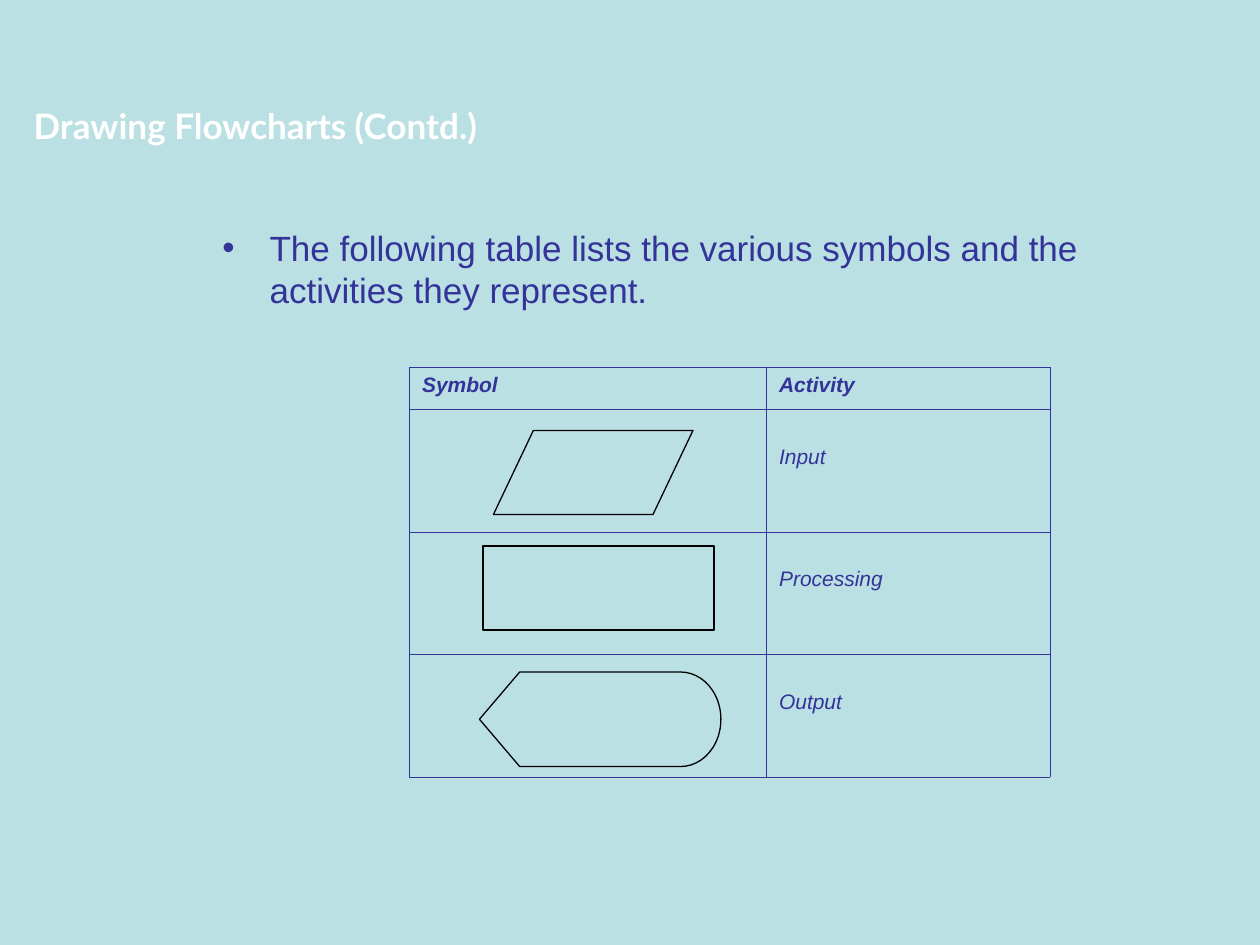
"""Build the flowchart symbols slide."""
from dataclasses import dataclass

from lxml.etree import SubElement
from pptx import Presentation
from pptx.dml.color import RGBColor as Color
from pptx.enum.shapes import MSO_SHAPE as Shape
from pptx.enum.text import MSO_ANCHOR as Anchor, MSO_AUTO_SIZE as AutoSize, PP_ALIGN as Align
from pptx.oxml.ns import qn
from pptx.util import Pt

TITLE = "Drawing Flowcharts (Contd.)"
BODY = "The following table lists the various symbols and the activities they represent."
HEADERS = ("Symbol", "Activity")
SYMBOLS = (
    ("Input", Shape.FLOWCHART_DATA, (282, 246, 114, 48)),
    ("Processing", Shape.FLOWCHART_PROCESS, (276, 312, 132, 48)),
    ("Output", Shape.FLOWCHART_DISPLAY, (274, 384, 138, 54)),
)
TITLE_BOX = (12, 56, 540, 32)
BODY_BOX = (120, 126, 576, 360)
TABLE_ORIGIN = (234, 210)
COLUMNS = (204, 162)
ROWS = (24, 70, 70, 70)
BULLET_INDENT = 27
ACTIVITY_TOP = 20.4


@dataclass(frozen=True)
class Theme:
    background: str = "BBE0E3"
    ink: str = "333399"
    title: str = "FFFFFF"
    outline: str = "000000"
    title_font: str = "Lato"
    body_font: str = "Arial"
    large: float = 20
    small: float = 12
    outline_width: float = 0.75
    border_width: float = 0.45


THEME = Theme()
TITLE_FORMAT = {"name": THEME.title_font, "size": Pt(THEME.large), "bold": True}
BODY_FORMAT = {"name": THEME.body_font, "size": Pt(THEME.large)}
CELL_FORMAT = {"name": THEME.body_font, "size": Pt(THEME.small), "italic": True}


def points(values):
    return [Pt(value) for value in values]


def set_attributes(target, values):
    for name, value in values.items():
        setattr(target, name, value)


def write(paragraph, text, values, color):
    paragraph.text = text
    paragraph.alignment = Align.LEFT
    set_attributes(paragraph.font, values)
    paragraph.font.color.rgb = Color.from_string(color)


def add_title(slide):
    title = slide.shapes.title
    box = dict(zip(("left", "top", "width", "height"), points(TITLE_BOX)))
    set_attributes(title, box)
    frame = title.text_frame
    set_attributes(frame, {"vertical_anchor": Anchor.TOP, "word_wrap": True,
                           "auto_size": AutoSize.SHAPE_TO_FIT_TEXT})
    write(frame.paragraphs[0], TITLE, TITLE_FORMAT, THEME.title)


def add_body(slide):
    frame = slide.shapes.add_textbox(*points(BODY_BOX)).text_frame
    frame.word_wrap = True
    paragraph = frame.paragraphs[0]
    properties = paragraph._p.get_or_add_pPr()
    properties.set("marL", str(Pt(BULLET_INDENT)))
    properties.set("indent", str(-Pt(BULLET_INDENT)))
    bullet_color = SubElement(properties, qn("a:buClr"))
    SubElement(bullet_color, qn("a:srgbClr"), val=THEME.ink)
    SubElement(properties, qn("a:buFont"), typeface=THEME.body_font)
    SubElement(properties, qn("a:buChar"), char="•")
    write(paragraph, BODY, BODY_FORMAT, THEME.ink)


def format_cell(cell):
    properties = cell._tc.get_or_add_tcPr()
    for side in ("lnL", "lnR", "lnT", "lnB"):
        line = SubElement(properties, qn(f"a:{side}"), w=str(Pt(THEME.border_width)))
        fill = SubElement(line, qn("a:solidFill"))
        SubElement(fill, qn("a:srgbClr"), val=THEME.ink)
    cell.fill.background()


def add_table(slide):
    size = (sum(COLUMNS), sum(ROWS))
    table = slide.shapes.add_table(len(ROWS), len(COLUMNS), *points(TABLE_ORIGIN + size)).table
    set_attributes(table, {"first_row": False, "horz_banding": False})
    for column, width in zip(table.columns, COLUMNS):
        column.width = Pt(width)
    for row, height in zip(table.rows, ROWS):
        row.height = Pt(height)
    for cell in table.iter_cells():
        format_cell(cell)
    for column, header in enumerate(HEADERS):
        paragraph = table.cell(0, column).text_frame.paragraphs[0]
        write(paragraph, header, {**CELL_FORMAT, "bold": True}, THEME.ink)
    for row, (activity, _, _) in enumerate(SYMBOLS, start=1):
        cell = table.cell(row, 1)
        cell.margin_top = Pt(ACTIVITY_TOP)
        write(cell.text_frame.paragraphs[0], activity, CELL_FORMAT, THEME.ink)


def add_symbols(slide):
    for _, kind, box in SYMBOLS:
        shape = slide.shapes.add_shape(kind, *points(box))
        shape.shadow.inherit = False
        shape.fill.background()
        shape.line.color.rgb = Color.from_string(THEME.outline)
        shape.line.width = Pt(THEME.outline_width)


def main():
    presentation = Presentation()
    set_attributes(presentation, {"slide_width": Pt(720), "slide_height": Pt(540)})
    slide = presentation.slides.add_slide(presentation.slide_layouts.get_by_name("Title Only"))
    slide.background.fill.solid()
    slide.background.fill.fore_color.rgb = Color.from_string(THEME.background)
    for add_part in (add_title, add_body, add_table, add_symbols):
        add_part(slide)
    presentation.save("out.pptx")


if __name__ == "__main__":
    main()
